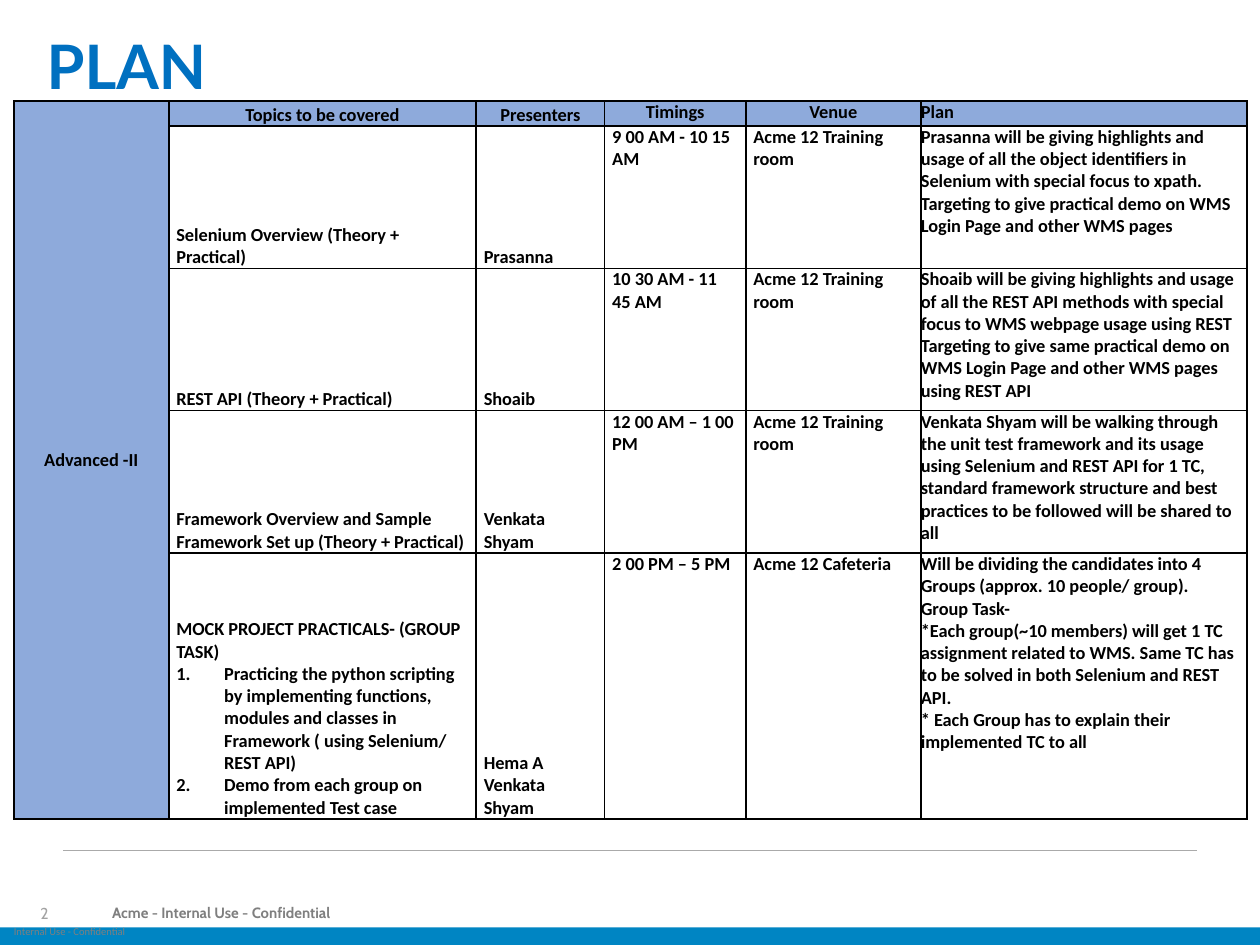
import pptx
import pptx.util
import pptx.dml.color
import pptx.enum.shapes
import pptx.enum.text
import pptx.oxml
import pptx.oxml.ns

Inches = pptx.util.Inches
Pt = pptx.util.Pt
RGBColor = pptx.dml.color.RGBColor
ALIGN = pptx.enum.text.PP_ALIGN
ANCHOR = pptx.enum.text.MSO_ANCHOR
NS = pptx.oxml.ns.nsdecls("a")

BLACK = RGBColor(0x00, 0x00, 0x00)
TITLE_BLUE = RGBColor(0x00, 0x70, 0xC0)
BAR_BLUE = RGBColor(0x00, 0x85, 0xC3)
HEADER_BLUE = RGBColor(0x8E, 0xAA, 0xDB)
GRAY = RGBColor(0x7F, 0x7F, 0x7F)
NUMBER_GRAY = RGBColor(0xA2, 0xA2, 0xA2)
RULE_GRAY = RGBColor(0xAA, 0xAA, 0xAA)


def write(tf, text, size=10.5, font="Calibri", color=BLACK, bold=True,
          align=ALIGN.LEFT, spacing=None):
    """Fill a text frame; lines starting with '#' become a numbered list."""
    for i, line in enumerate(text.split("\n")):
        p = tf.paragraphs[0] if i == 0 else tf.add_paragraph()
        p.alignment = align
        if spacing:
            p.line_spacing = spacing
        if line.startswith("#"):
            pPr = p._p.get_or_add_pPr()
            pPr.set("marL", str(Inches(0.38)))
            pPr.set("indent", str(-Inches(0.38)))
            pPr.append(pptx.oxml.parse_xml(
                f'<a:buAutoNum {NS} type="arabicPeriod"/>'))
        r = p.add_run()
        r.text = line.lstrip("#")
        r.font.size = Pt(size)
        r.font.name = font
        r.font.bold = bold
        r.font.color.rgb = color


prs = pptx.Presentation()
prs.slide_width, prs.slide_height = Inches(10), Inches(7.5)
s = prs.slides.add_slide(prs.slide_layouts[5])

# Bottom bar and rule
bar = s.shapes.add_shape(pptx.enum.shapes.MSO_SHAPE.RECTANGLE,
                         Inches(0), Inches(7.36), Inches(10), Inches(0.14))
bar.shadow.inherit = False
bar.fill.solid()
bar.fill.fore_color.rgb = BAR_BLUE
bar.line.fill.background()

rule = s.shapes.add_connector(pptx.enum.shapes.MSO_CONNECTOR.STRAIGHT,
                              Inches(0.5), Inches(6.75), Inches(9.5), Inches(6.75))
rule.line.color.rgb = RULE_GRAY
rule.line.width = Pt(0.75)
rule._element.spPr.append(pptx.oxml.parse_xml(f"<a:effectLst {NS}/>"))

# Footer texts: left, top, width, height, text, size, font, colour, bold
footers = [
    (0.89, 7.16, 4, 0.18, "Acme - Internal Use - Confidential", 8.5, "Cabin", GRAY, True),
    (0.32, 7.19, 0.29, 0.13, "2", 9, "Cabin", NUMBER_GRAY, False),
    (0.11, 7.29, 1.13, 0.21, "Internal Use - Confidential", 6, "Calibri", GRAY, False),
]
for left, top, width, height, text, size, font, color, bold in footers:
    sp = s.shapes.add_textbox(Inches(left), Inches(top), Inches(width), Inches(height))
    tf = sp.text_frame
    tf.word_wrap = True
    tf.vertical_anchor = ANCHOR.MIDDLE
    tf.margin_left = tf.margin_right = tf.margin_top = tf.margin_bottom = 0
    write(tf, text, size=size, font=font, color=color, bold=bold, spacing=0.9)

# Title
title = s.shapes.title
title.left, title.top = Inches(0.37), Inches(0.29)
title.width, title.height = Inches(10.74), Inches(0.93)
tf = title.text_frame
tf.auto_size = pptx.enum.text.MSO_AUTO_SIZE.NONE
tf.vertical_anchor = ANCHOR.TOP
tf.margin_left = tf.margin_right = tf.margin_top = tf.margin_bottom = 0
write(tf, "PLAN", size=35, font="Lato", color=TITLE_BLUE, spacing=0.9)

# Schedule table
ROOM = "Acme 12 Training room"
rows = [
    ["Advanced -II", "Topics to be covered", "Presenters", "Timings", "Venue", "Plan"],
    ["", "Selenium Overview (Theory + Practical)", "Prasanna", "9 00 AM - 10 15 AM", ROOM,
     "Prasanna will be giving highlights and usage of all the object identifiers in "
     "Selenium with special focus to xpath.\n"
     "Targeting to give practical demo on WMS Login Page and other WMS pages"],
    ["", "REST API (Theory + Practical)", "Shoaib", "10 30 AM - 11 45 AM", ROOM,
     "Shoaib will be giving highlights and usage of all the REST API methods with "
     "special focus to WMS webpage usage using REST\n"
     "Targeting to give same practical demo on WMS Login Page and other WMS pages "
     "using REST API"],
    ["", "Framework Overview and Sample Framework Set up (Theory + Practical)",
     "Venkata Shyam", "12 00 AM – 1 00 PM", ROOM,
     "Venkata Shyam will be walking through the unit test framework and its usage "
     "using Selenium and REST API for 1 TC, standard framework structure and best "
     "practices to be followed will be shared to all"],
    ["", "MOCK PROJECT PRACTICALS- (GROUP TASK)\n"
     "#Practicing the python scripting by implementing functions, modules and classes "
     "in Framework ( using Selenium/ REST API)\n"
     "#Demo from each group on implemented Test case",
     "Hema A\nVenkata Shyam", "2 00 PM – 5 PM", "Acme 12 Cafeteria",
     "Will be dividing the candidates into 4 Groups (approx. 10 people/ group).\n"
     "Group Task-\n"
     "*Each group(~10 members) will get 1 TC assignment related to WMS. Same TC has "
     "to be solved in both Selenium and REST API.\n"
     "* Each Group has to explain their implemented TC to all"],
]
col_widths = [1.23, 2.44, 1.02, 1.12, 1.39, 2.59]
row_heights = [0.2, 1.13, 1.13, 1.13, 2.11]
anchors = [ANCHOR.MIDDLE, ANCHOR.BOTTOM, ANCHOR.BOTTOM] + [ANCHOR.TOP] * 3

table = s.shapes.add_table(len(rows), len(col_widths), Inches(0.11), Inches(0.8),
                           Inches(sum(col_widths)), Inches(sum(row_heights))).table
table.first_row = table.horz_banding = False
for column, width in zip(table.columns, col_widths):
    column.width = Inches(width)
for row, height in zip(table.rows, row_heights):
    row.height = Inches(height)
table.cell(0, 0).merge(table.cell(4, 0))

for i, row in enumerate(rows):
    for j, text in enumerate(row):
        cell = table.cell(i, j)
        cell.margin_left = cell.margin_right = Inches(0 if j == 5 else 0.06)
        cell.margin_top = cell.margin_bottom = 0
        cell.vertical_anchor = anchors[j]
        for side in ("lnL", "lnR", "lnT", "lnB"):
            cell._tc.get_or_add_tcPr().append(pptx.oxml.parse_xml(
                f'<a:{side} {NS} w="{Pt(1)}"><a:solidFill>'
                f'<a:srgbClr val="{BLACK}"/></a:solidFill></a:{side}>'))
        if i == 0 or j == 0:
            cell.fill.solid()
            cell.fill.fore_color.rgb = HEADER_BLUE
        else:
            cell.fill.background()
        if text:
            centred = i == 0 and j < 5
            write(cell.text_frame, text, align=ALIGN.CENTER if centred else ALIGN.LEFT)

prs.save("out.pptx")
